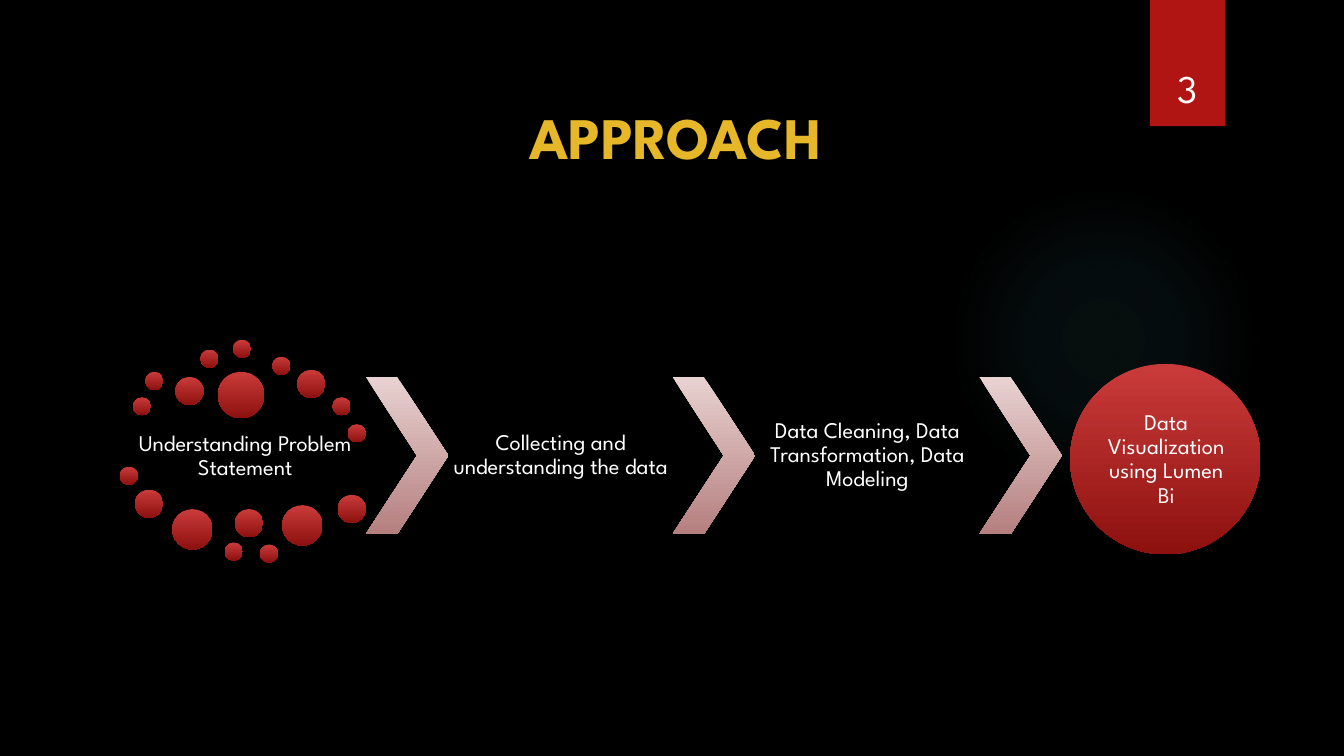
from pptx import Presentation
from pptx import util as u
from pptx.dml.color import RGBColor
from pptx.enum import shapes, text
from pptx.oxml import parse_xml
from pptx.oxml.ns import nsdecls, qn

COLOURS = {
    "background": "000000",
    "glow": "50B9C1",
    "ribbon": "B01513",
    "title": "E6B729",
    "body": "FFFFFF",
    "ball_top": "C93B3A",
    "ball_bottom": "8D110F",
    "chevron_top": "E8D2D1",
    "chevron_bottom": "B57F7F",
}
FONT = "League Spartan"
SMALL, MEDIUM, LARGE, LARGEST = 0.46, 0.71, 1.02, 1.17
BALLS = {
    SMALL: [(3.35, 10.01), (3.66, 9.37), (5.05, 8.81), (5.87, 8.56),
            (6.86, 8.99), (8.38, 10.01), (8.76, 10.69), (3.02, 11.76),
            (5.66, 13.67), (6.55, 13.72)],
    MEDIUM: [(4.42, 9.5), (7.49, 9.32), (3.4, 12.34), (5.92, 12.83),
             (8.51, 12.47)],
    LARGE: [(4.34, 12.83), (7.11, 12.73)],
    LARGEST: [(5.49, 9.37)],
}
FIRST_STEP = "Understanding Problem Statement"
MIDDLE_STEPS = [
    "Collecting and understanding the data",
    "Data Cleaning, Data Transformation, Data Modeling",
]
LAST_STEP = "Data Visualization using Lumen Bi"
CHEVRON_LEFT, CHEVRON_TOP, STEP_PITCH = 9.22, 9.5, 7.73
CHEVRON_WIDTH, CHEVRON_HEIGHT = 2.08, 3.96
STEP_WIDTH = 5.66


def colour(name):
    return RGBColor.from_string(COLOURS[name])


def add_plain_shape(slide, kind, left, top, width, height):
    shape = slide.shapes.add_shape(
        kind, u.Cm(left), u.Cm(top), u.Cm(width), u.Cm(height))
    shape.shadow.inherit = False
    shape.line.fill.background()
    return shape


def shade_downwards(shape, top_colour, bottom_colour):
    shape.fill.gradient()
    shape.fill.gradient_angle = 270
    for stop, name in zip(shape.fill.gradient_stops, (top_colour, bottom_colour)):
        stop.color.rgb = colour(name)


def add_ball(slide, left, top, diameter):
    ball = add_plain_shape(
        slide, shapes.MSO_SHAPE.OVAL, left, top, diameter, diameter)
    shade_downwards(ball, "ball_top", "ball_bottom")


def add_chevron(slide, left):
    chevron = add_plain_shape(
        slide, shapes.MSO_SHAPE.CHEVRON, left, CHEVRON_TOP,
        CHEVRON_WIDTH, CHEVRON_HEIGHT)
    chevron.adjustments[0] = 0.62
    shade_downwards(chevron, "chevron_top", "chevron_bottom")


def add_glow(slide):
    glow = add_plain_shape(
        slide, shapes.MSO_SHAPE.OVAL, 23.9, 4.65, 7.82, 7.82)
    glow.fill.background()
    stops = "".join(
        f'<a:gs pos="{position * 1000}"><a:srgbClr val="{COLOURS["glow"]}">'
        f'<a:alpha val="{opacity * 1000}"/></a:srgbClr></a:gs>'
        for position, opacity in ((0, 7), (36, 6), (69, 0)))
    gradient = parse_xml(
        f'<a:gradFill {nsdecls("a")} rotWithShape="1"><a:gsLst>{stops}</a:gsLst>'
        '<a:path path="circle"><a:fillToRect l="50000" t="50000" '
        'r="50000" b="50000"/></a:path></a:gradFill>')
    properties = glow.element.spPr
    properties.replace(properties.find(qn("a:noFill")), gradient)


def add_ribbon(slide):
    ribbon = add_plain_shape(
        slide, shapes.MSO_SHAPE.RECTANGLE, 28.98, 0, 1.9, 3.18)
    ribbon.fill.solid()
    ribbon.fill.fore_color.rgb = colour("ribbon")


def add_label(slide, wording, left, top, width, height, size,
              colour_name="body", bold=False,
              anchor=text.MSO_ANCHOR.MIDDLE):
    label = slide.shapes.add_textbox(
        u.Cm(left), u.Cm(top), u.Cm(width), u.Cm(height))
    frame = label.text_frame
    frame.text = wording
    frame.word_wrap = True
    frame.vertical_anchor = anchor
    paragraph = frame.paragraphs[0]
    paragraph.alignment = text.PP_ALIGN.CENTER
    font = paragraph.runs[0].font
    font.name = FONT
    font.size = u.Pt(size)
    font.bold = bold
    font.color.rgb = colour(colour_name)
    return frame


def add_step(slide, wording, left, top, width, height, inset=0.05):
    frame = add_label(slide, wording, left, top, width, height, 16)
    frame.margin_left = frame.margin_right = u.Cm(inset)
    frame.margin_top = frame.margin_bottom = u.Cm(inset)
    frame.paragraphs[0].line_spacing = 0.9


def main():
    deck = Presentation()
    deck.slide_width, deck.slide_height = u.Cm(33.87), u.Cm(19.05)
    slide = deck.slides.add_slide(deck.slide_layouts[6])
    slide.background.fill.solid()
    slide.background.fill.fore_color.rgb = colour("background")

    add_glow(slide)
    add_ribbon(slide)
    add_label(slide, "APPROACH", 6.12, 2.36, 21.8, 2.11, 42, "title", True)
    add_label(slide, "3", 28.75, 0.81, 2.34, 2.13, 28,
              anchor=text.MSO_ANCHOR.BOTTOM)

    add_step(slide, FIRST_STEP, 3.35, 10.57, STEP_WIDTH, 1.85)
    for diameter, places in BALLS.items():
        for left, top in places:
            add_ball(slide, left, top, diameter)

    for index in range(len(MIDDLE_STEPS) + 1):
        add_chevron(slide, CHEVRON_LEFT + index * STEP_PITCH)
    for index, wording in enumerate(MIDDLE_STEPS):
        add_step(slide, wording,
                 CHEVRON_LEFT + CHEVRON_WIDTH + index * STEP_PITCH,
                 CHEVRON_TOP, STEP_WIDTH, CHEVRON_HEIGHT)

    add_ball(slide, 26.97, 9.17, 4.8)
    add_step(slide, LAST_STEP, 27.69, 9.88, 3.4, 3.4, inset=0)

    deck.save("out.pptx")


if __name__ == "__main__":
    main()
